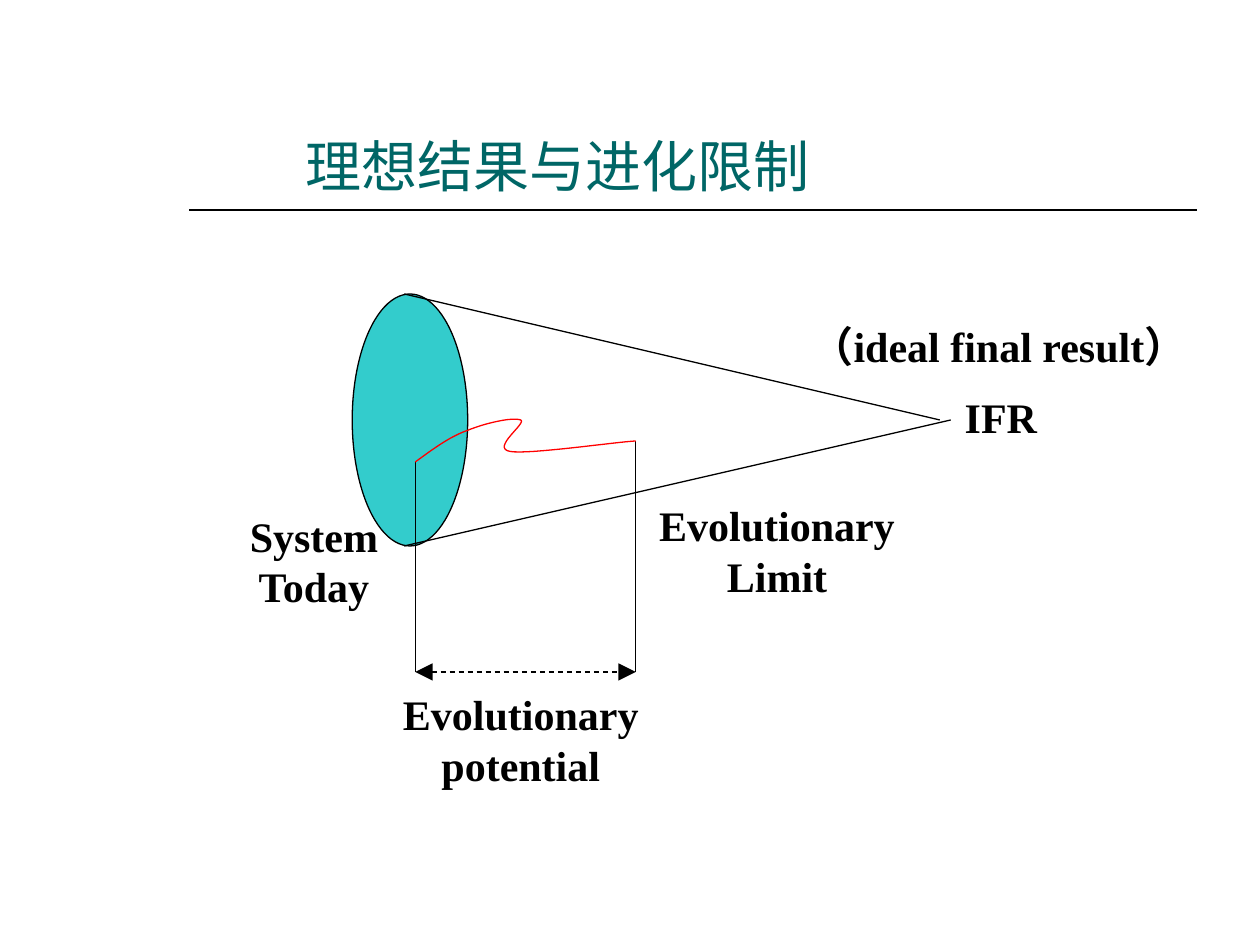
from pptx import Presentation
from pptx.dml.color import RGBColor
from pptx.enum.dml import MSO_LINE
from pptx.enum.shapes import MSO_CONNECTOR, MSO_SHAPE
from pptx.enum.text import PP_ALIGN
from pptx.oxml.ns import qn
from pptx.util import Inches, Pt
from lxml import etree

STRAIGHT = MSO_CONNECTOR.STRAIGHT
OVAL = MSO_SHAPE.OVAL
DASH = MSO_LINE.DASH
LEFT, CENTER = PP_ALIGN.LEFT, PP_ALIGN.CENTER
COLORS = {"ink": "000000", "title": "006666", "disc": "33CCCC", "path": "FF0000"}
CELL = Inches(1) / 12
TITLE_BOX = (18, 9, 96, 11)
DIAGRAM_BOX = (18, 24, 96, 54)


def color(name):
    return RGBColor.from_string(COLORS[name])


def point(box, col, row):
    return round((box[0] + col) * CELL), round((box[1] + row) * CELL)


def style_line(line, name="ink", width=0.75):
    line.color.rgb = color(name)
    line.width = Pt(width)


def add_line(page, box, start, end, width=0.75):
    line = page.shapes.add_connector(STRAIGHT, *point(box, *start), *point(box, *end))
    style_line(line.line, width=width)
    etree.SubElement(line._element.spPr, qn("a:effectLst"))
    return line


def add_label(page, box, area, text, size=24, font="Times New Roman",
              name="ink", bold=True, align=CENTER):
    col, row, width, height = area
    label = page.shapes.add_textbox(*point(box, col, row),
                                    round(width * CELL), round(height * CELL))
    frame = label.text_frame
    frame.word_wrap = True
    frame.text = text
    for para in frame.paragraphs:
        para.alignment = align
        for span in para.runs:
            span.font.name = font
            span.font.size = Pt(size)
            span.font.bold = bold
            span.font.color.rgb = color(name)


def bezier(controls, steps=16):
    points = [controls[0]]
    for first in range(0, len(controls) - 1, 3):
        a, b, c, d = controls[first:first + 4]
        for step in range(1, steps + 1):
            t = step / steps
            u = 1 - t
            weights = (u ** 3, 3 * u * u * t, 3 * u * t * t, t ** 3)
            points.append(tuple(sum(w * p[axis] for w, p in zip(weights, (a, b, c, d)))
                                for axis in (0, 1)))
    return points


def add_title(page, box):
    width, height = box[2:]
    add_line(page, box, (0, height), (width, height), width=1)
    add_label(page, box, (9.9, 2.9, 51.4, 7.7), "理想结果与进化限制",
              size=32, font="Arial", name="title", bold=False, align=LEFT)


def add_evolution_path(page, box, today, limit):
    controls = [today, (23.2, 18.8), (24.8, 17.6), (26.5, 17),
                (28.2, 16.3), (30.8, 15.7), (31.6, 16),
                (32.2, 16.3), (28.7, 18.7), (30.6, 19),
                (32.4, 19.3), (40.6, 18.1), limit]
    points = [point(box, *spot) for spot in bezier(controls)]
    builder = page.shapes.build_freeform(*points[0])
    builder.add_line_segments(points[1:], close=False)
    curve = builder.convert_to_shape()
    curve.shadow.inherit = False
    curve.fill.background()
    style_line(curve.line, "path")


def add_diagram(page, box):
    disc = page.shapes.add_shape(OVAL, *point(box, 15.55, 4),
                                 round(11 * CELL), round(24 * CELL))
    disc.shadow.inherit = False
    disc.fill.solid()
    disc.fill.fore_color.rgb = color("disc")
    style_line(disc.line)

    add_line(page, box, (20.5, 28), (72.55, 16))
    add_line(page, box, (20.5, 4), (71.5, 16))

    today, limit, base = (21.55, 20), (42.55, 18), 40
    for top in (today, limit):
        add_line(page, box, top, (top[0], base))
    add_evolution_path(page, box, today, limit)

    span = add_line(page, box, (today[0], base), (limit[0], base))
    span.line.dash_style = DASH
    for end in ("a:headEnd", "a:tailEnd"):
        etree.SubElement(span.line._get_or_add_ln(), qn(end),
                         type="triangle", w="lg", len="lg")

    add_label(page, box, (56.6, 5.9, 41.1, 6), "（ideal final result）")
    add_label(page, box, (72.7, 12.7, 10.2, 6), "IFR", align=LEFT)
    add_label(page, box, (43.1, 23, 25.8, 10.8), "Evolutionary\nLimit")
    add_label(page, box, (4.1, 24, 15.6, 10.8), "System\nToday")
    add_label(page, box, (18.7, 41, 25.8, 10.8), "Evolutionary\npotential")


def main():
    deck = Presentation()
    deck.slide_width, deck.slide_height = Inches(10), Inches(7.5)
    page = deck.slides.add_slide(deck.slide_layouts[6])
    add_title(page, TITLE_BOX)
    add_diagram(page, DIAGRAM_BOX)
    deck.save("out.pptx")


if __name__ == "__main__":
    main()
